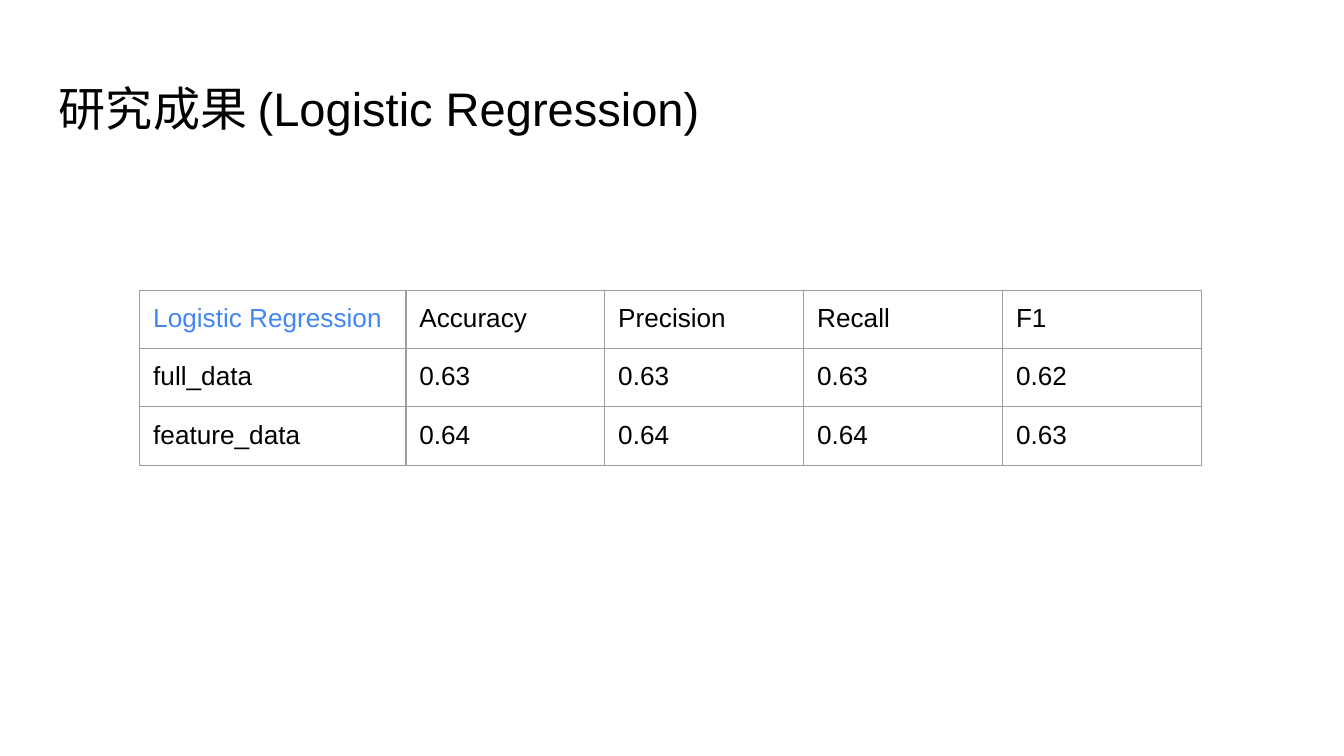
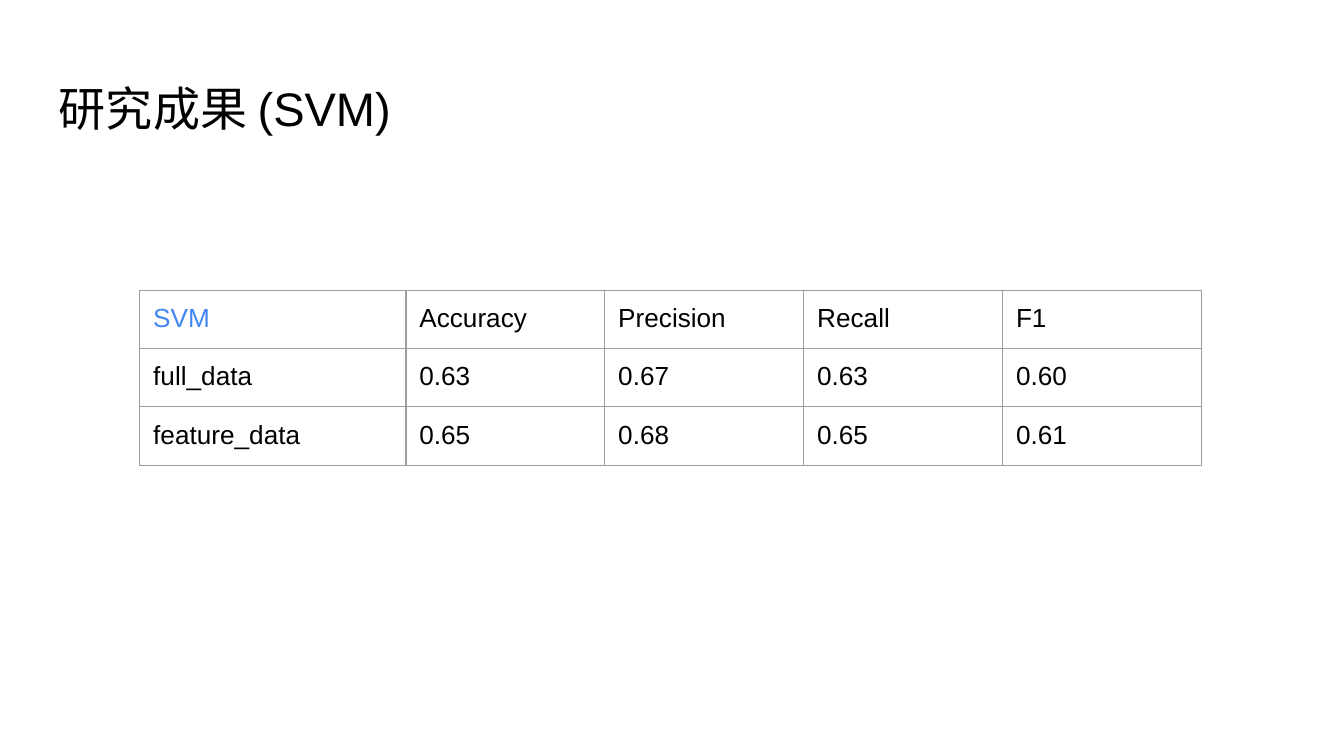
from dataclasses import dataclass

from lxml.etree import SubElement
from pptx import Presentation
from pptx.dml.color import RGBColor
from pptx.enum.text import MSO_ANCHOR
from pptx.oxml.ns import qn
from pptx.slide import Slide
from pptx.table import _Cell
from pptx.util import Inches, Pt

# Shared style
COLORS = {"background": "FFFFFF", "text": "000000", "model": "4285F4", "border": "9E9E9E"}
FONT = "Arial"
TITLE_SIZE = Pt(25.2)
CELL_SIZE = Pt(14)
BORDER_WIDTH = Pt(0.75)
INSET = Inches(0.1)

# Table grid
TABLE_LEFT, TABLE_TOP = Inches(1.04), Inches(2.16)
LABEL_WIDTH, METRIC_WIDTH = Inches(1.98), Inches(1.48)
ROW_HEIGHT = Inches(0.42)
METRICS = ("Accuracy", "Precision", "Recall", "F1")


@dataclass(frozen=True)
class ModelResult:
    model: str
    full_data: tuple[str, ...]
    feature_data: tuple[str, ...]

    def rows(self) -> list[tuple[str, ...]]:
        return [
            (self.model, *METRICS),
            ("full_data", *self.full_data),
            ("feature_data", *self.feature_data),
        ]


RESULTS = (
    ModelResult("Logistic Regression", ("0.63", "0.63", "0.63", "0.62"), ("0.64", "0.64", "0.64", "0.63")),
    ModelResult("SVM", ("0.63", "0.67", "0.63", "0.60"), ("0.65", "0.68", "0.65", "0.61")),
)


def set_text(tf, text: str, size: Pt, color: str) -> None:
    p = tf.paragraphs[0]
    p.text = text
    p.font.name = FONT
    p.font.size = size
    p.font.color.rgb = RGBColor.from_string(COLORS[color])
    # The paragraph mark takes the same font, so it does not stretch the line
    end = SubElement(p._p, qn("a:endParaRPr"), sz=str(int(size.pt * 100)))
    SubElement(end, qn("a:latin"), typeface=FONT)


def set_insets(box) -> None:
    box.margin_left = box.margin_top = box.margin_right = box.margin_bottom = INSET


def add_title(s: Slide, text: str) -> None:
    sp = s.shapes.add_textbox(Inches(0.34), Inches(0.49), Inches(9.32), Inches(0.63))
    tf = sp.text_frame
    tf.word_wrap = True
    tf.vertical_anchor = MSO_ANCHOR.TOP
    set_insets(tf)
    set_text(tf, text, TITLE_SIZE, "text")


def add_borders(cell: _Cell) -> None:
    tc_pr = cell._tc.get_or_add_tcPr()
    for side in ("a:lnL", "a:lnR", "a:lnT", "a:lnB"):
        ln = SubElement(tc_pr, qn(side), w=str(BORDER_WIDTH))
        fill = SubElement(ln, qn("a:solidFill"))
        SubElement(fill, qn("a:srgbClr"), val=COLORS["border"])


def add_result_table(s: Slide, result: ModelResult) -> None:
    rows = result.rows()
    widths = [LABEL_WIDTH] + [METRIC_WIDTH] * len(METRICS)
    frame = s.shapes.add_table(
        len(rows), len(widths), TABLE_LEFT, TABLE_TOP, sum(widths), ROW_HEIGHT * len(rows)
    )
    table = frame.table
    table.first_row = table.horz_banding = False
    for column, width in zip(table.columns, widths):
        column.width = width
    for r, values in enumerate(rows):
        table.rows[r].height = ROW_HEIGHT
        for c, value in enumerate(values):
            cell = table.cell(r, c)
            set_insets(cell)
            set_text(cell.text_frame, value, CELL_SIZE, "model" if r == c == 0 else "text")
            add_borders(cell)
            cell.fill.background()


def add_result_slide(prs: Presentation, result: ModelResult) -> None:
    s = prs.slides.add_slide(prs.slide_layouts[6])
    s.background.fill.solid()
    s.background.fill.fore_color.rgb = RGBColor.from_string(COLORS["background"])
    add_title(s, f"研究成果 ({result.model})")
    add_result_table(s, result)


def main() -> None:
    prs = Presentation()
    # 16:9 slide
    prs.slide_width = Inches(10)
    prs.slide_height = prs.slide_width * 9 // 16
    for result in RESULTS:
        add_result_slide(prs, result)
    prs.save("out.pptx")


if __name__ == "__main__":
    main()
